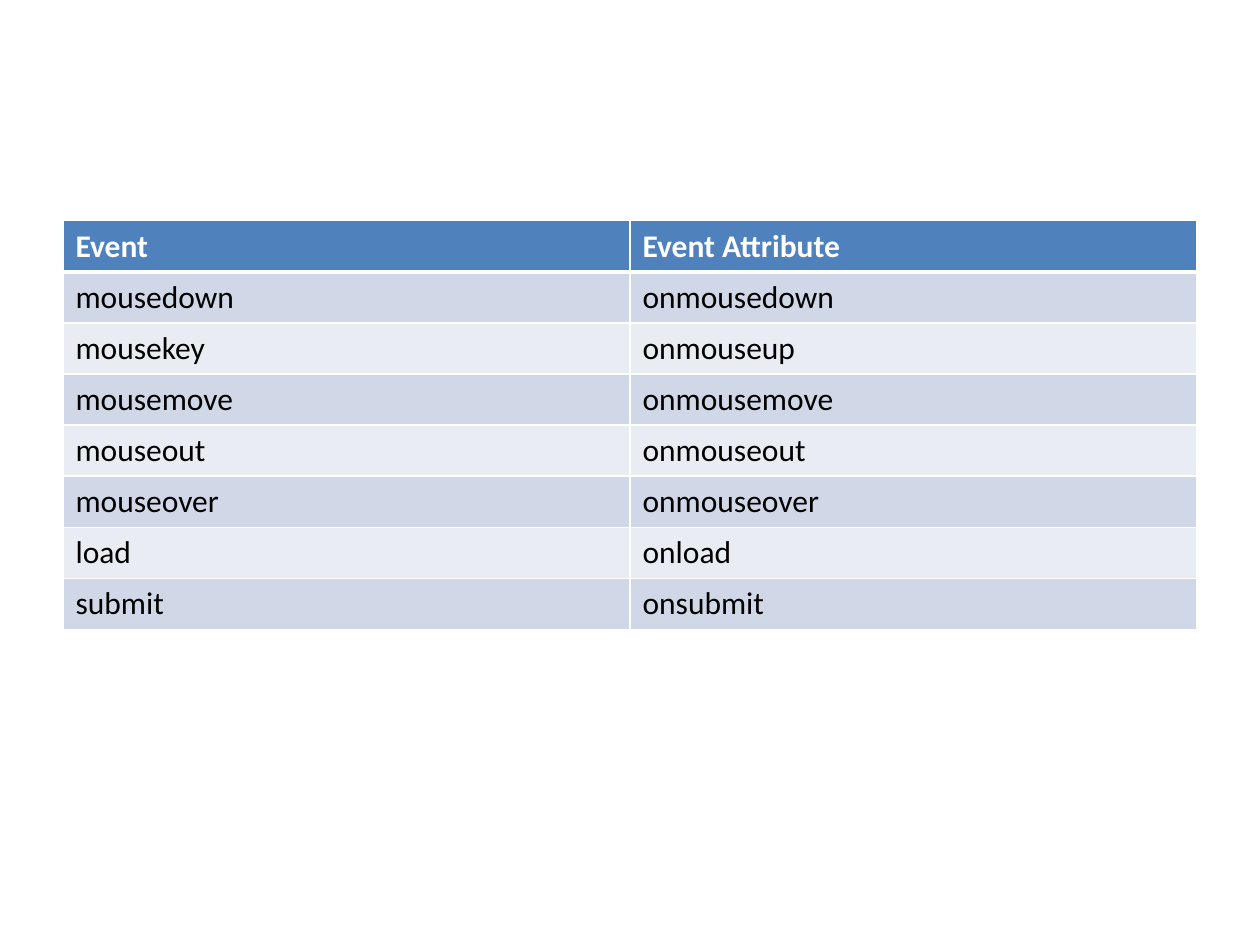
from lxml.etree import SubElement
from pptx import Presentation
from pptx.dml.color import RGBColor
from pptx.oxml.ns import qn
from pptx.util import Cm, Pt

WHITE = RGBColor(0xFF, 0xFF, 0xFF)
BLACK = RGBColor(0x00, 0x00, 0x00)
HEADER_BLUE = RGBColor(0x4F, 0x81, 0xBD)
BAND_DARK = RGBColor(0xD0, 0xD8, 0xE7)
BAND_LIGHT = RGBColor(0xE9, 0xEC, 0xF3)

THIN = Pt(0.96)
THICK = Pt(3)

EVENTS = [
    ("Event", "Event Attribute"),
    ("mousedown", "onmousedown"),
    ("mousekey", "onmouseup"),
    ("mousemove", "onmousemove"),
    ("mouseout", "onmouseout"),
    ("mouseover", "onmouseover"),
    ("load", "onload"),
    ("submit", "onsubmit"),
]


def set_borders(cell, top, bottom):
    """Draw white borders; must run before the fill, which follows them in the XML."""
    properties = cell._tc.get_or_add_tcPr()
    for side, width in (("L", THIN), ("R", THIN), ("T", top), ("B", bottom)):
        line = SubElement(properties, qn(f"a:ln{side}"), w=str(int(width)))
        fill = SubElement(line, qn("a:solidFill"))
        SubElement(fill, qn("a:srgbClr"), val=str(WHITE))


def format_cell(cell, text, row_index):
    is_header = row_index == 0
    set_borders(
        cell,
        top=THICK if row_index == 1 else THIN,
        bottom=THICK if is_header else THIN,
    )
    band = BAND_DARK if row_index % 2 else BAND_LIGHT
    cell.fill.solid()
    cell.fill.fore_color.rgb = HEADER_BLUE if is_header else band
    cell.text_frame.text = text
    font = cell.text_frame.paragraphs[0].runs[0].font
    font.name = "Calibri"
    font.size = Pt(18)
    font.bold = is_header
    font.color.rgb = WHITE if is_header else BLACK


def add_event_table(page):
    row_height = Cm(1.03)
    frame = page.shapes.add_table(
        len(EVENTS), 2, Cm(1.27), Cm(4.45), Cm(22.86), row_height * len(EVENTS)
    )
    table = frame.table
    for row_index, texts in enumerate(EVENTS):
        table.rows[row_index].height = row_height
        for column_index, text in enumerate(texts):
            format_cell(table.cell(row_index, column_index), text, row_index)


def main():
    deck = Presentation()
    deck.slide_width = Cm(25.4)
    deck.slide_height = Cm(19.05)
    page = deck.slides.add_slide(deck.slide_layouts[6])
    add_event_table(page)
    deck.save("out.pptx")


if __name__ == "__main__":
    main()
